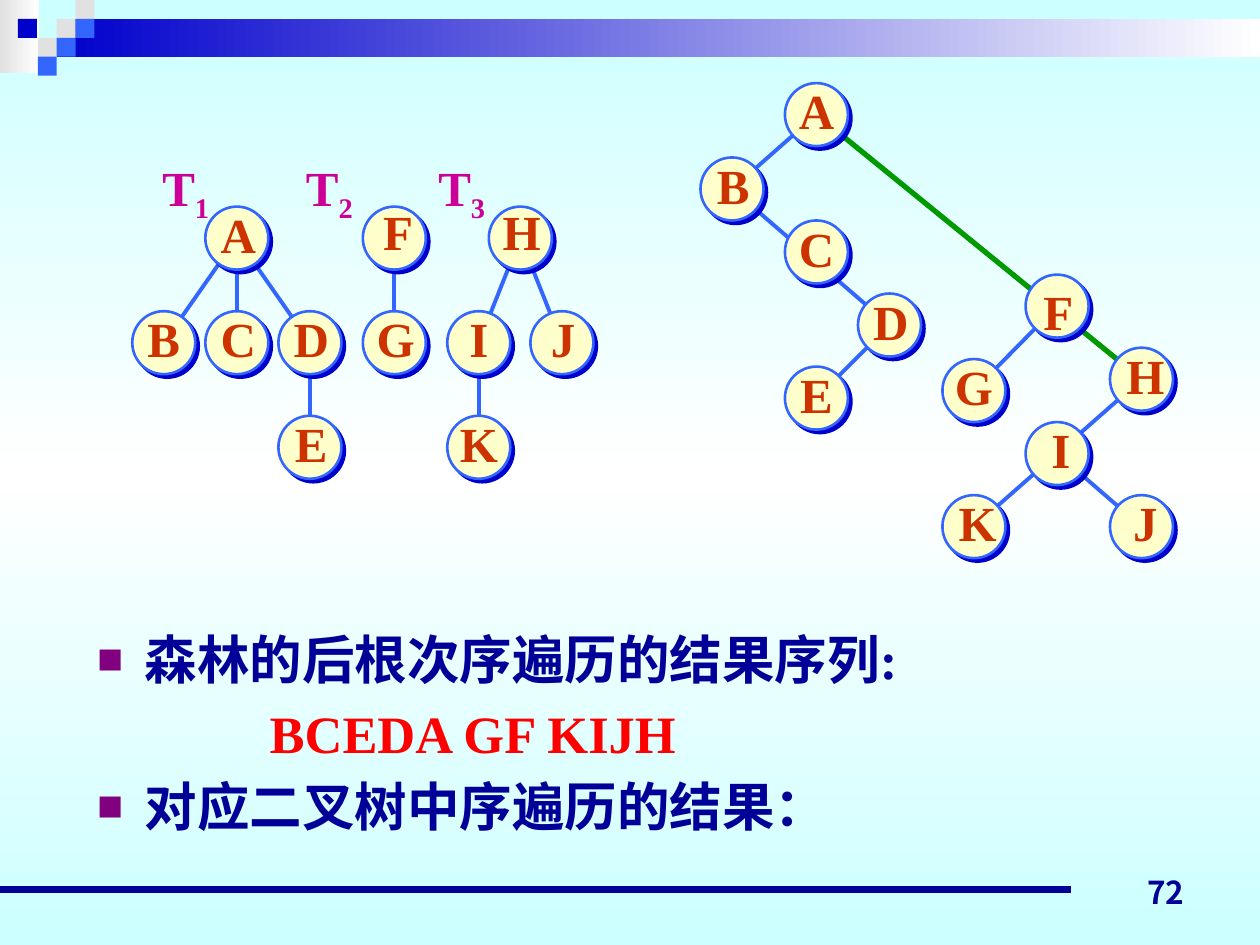
from copy import deepcopy
from math import hypot

from lxml import etree
from pptx import Presentation
from pptx.dml.color import RGBColor
from pptx.enum.shapes import MSO_CONNECTOR, MSO_SHAPE
from pptx.enum.text import MSO_ANCHOR, MSO_AUTO_SIZE, PP_ALIGN
from pptx.oxml.ns import qn
from pptx.util import Inches, Pt

RECT, OVAL = MSO_SHAPE.RECTANGLE, MSO_SHAPE.OVAL
STRAIGHT = MSO_CONNECTOR.STRAIGHT
MIDDLE, BOTTOM = MSO_ANCHOR.MIDDLE, MSO_ANCHOR.BOTTOM
CENTER, RIGHT, LEFT = PP_ALIGN.CENTER, PP_ALIGN.RIGHT, PP_ALIGN.LEFT
NO_AUTOFIT = MSO_AUTO_SIZE.NONE

NAVY = RGBColor(0x00, 0x00, 0x99)
BLUE = RGBColor(0x00, 0x00, 0xCC)
SKY = RGBColor(0x33, 0x66, 0xFF)
CYAN = RGBColor(0xCC, 0xFF, 0xFF)
WHITE = RGBColor(0xFF, 0xFF, 0xFF)
GREY = RGBColor(0xE1, 0xE1, 0xE1)
CREAM = RGBColor(0xFF, 0xFF, 0xCC)
RUST = RGBColor(0xCC, 0x33, 0x00)
GREEN = RGBColor(0x00, 0x99, 0x00)
MAGENTA = RGBColor(0xCC, 0x00, 0x99)
PURPLE = RGBColor(0x80, 0x00, 0x80)
RED = RGBColor(0xFF, 0x00, 0x00)

SERIF, SANS = "Times New Roman", "Noto Sans CJK JP"
NODE = 0.5    # node diameter
TRIM = 0.16   # how far an edge starts from a node's centre
LABEL_HEIGHT = 0.57
LABEL_WIDTHS = {"A": 0.48, "B": 0.46, "C": 0.48, "D": 0.48, "E": 0.46, "F": 0.44,
                "G": 0.5, "H": 0.5, "I": 0.35, "J": 0.4, "K": 0.5}

# Letter: (left, top, label shift right, label shift down), within the tree's box
FOREST_NODES = {
    "A": (0.58, 0, 0.01, 0), "F": (1.83, 0, 0.03, -0.02), "H": (2.83, 0, 0.01, -0.02),
    "B": (0, 0.83, 0, 0), "C": (0.58, 0.83, 0.01, 0), "D": (1.16, 0.83, 0.01, 0),
    "G": (1.83, 0.83, 0.01, 0), "I": (2.5, 0.83, 0, 0), "J": (3.16, 0.83, 0.01, 0),
    "E": (1.16, 1.66, 0.01, 0), "K": (2.5, 1.66, 0, 0),
}
FOREST_EDGES = {SKY: ["AB", "AC", "AD", "DE", "FG", "HI", "HJ", "IK"]}

BINARY_NODES = {
    "A": (0.67, 0, 0, 0), "B": (0, 0.59, 0.01, 0), "C": (0.67, 1.09, 0, 0),
    "D": (1.25, 1.67, 0.01, 0), "E": (0.67, 2.25, 0, 0),
    "F": (2.58, 1.52, 0.01, 0.07), "G": (1.92, 2.19, 0, 0),
    "H": (3.25, 2.1, 0.03, 0), "I": (2.58, 2.69, 0.03, 0),
    "K": (1.92, 3.27, 0.03, 0), "J": (3.25, 3.27, 0.03, 0),
}
# Straight chains run as one line behind their middle node
BINARY_EDGES = {GREEN: ["AH"], SKY: ["AB", "BD", "DE", "FG", "HK", "IJ"]}


def add_element(parent, tag, **attributes):
    child = etree.SubElement(parent, qn(tag))
    for key, value in attributes.items():
        child.set(key, str(value))
    return child


def set_gradient(fill, owner, colors, angle):
    fill.gradient()
    fill.gradient_angle = angle
    stops = owner.find(".//" + qn("a:gsLst"))
    while len(stops) < len(colors):
        stops.append(deepcopy(stops[0]))
    for index, (stop, color) in enumerate(zip(fill.gradient_stops, colors)):
        stop.position = index / (len(colors) - 1)
        stop.color.rgb = color


def add_run(paragraph, text, **formats):
    run = paragraph.add_run()
    run.text = text
    color = formats.pop("color")
    for key, value in {"name": SERIF, "bold": True, **formats}.items():
        setattr(run.font, key, value)
    run.font.color.rgb = color
    add_element(run.font._element, "a:ea", typeface=SANS)
    return run


def add_text_box(slide, left, top, width, height, anchor, align, wrap):
    frame = slide.shapes.add_textbox(*map(Inches, (left, top, width, height))).text_frame
    frame.word_wrap = wrap
    frame.vertical_anchor = anchor
    frame.paragraphs[0].alignment = align
    return frame.paragraphs[0]


def add_shape(slide, kind, left, top, width, height, fill):
    shape = slide.shapes.add_shape(kind, *map(Inches, (left, top, width, height)))
    shape.shadow.inherit = False
    if isinstance(fill, list):
        set_gradient(shape.fill, shape._element, fill, 0)
    else:
        shape.fill.solid()
        shape.fill.fore_color.rgb = fill
    shape.line.fill.background()
    return shape


def add_line(slide, start, end, color, width):
    line = slide.shapes.add_connector(STRAIGHT, *map(Inches, (*start, *end)))
    line.line.color.rgb = color
    line.line.width = Pt(width)
    add_element(line._element.spPr, "a:effectLst")


def draw_header(slide, left, top, width):
    add_shape(slide, RECT, left, top, 0.31, 0.58, [GREY, WHITE])
    add_shape(slide, RECT, left + 0.45, top + 0.15, width - 0.45, 0.3, [BLUE, WHITE])
    # Checkered squares: column and row, in square sides
    side = 0.15
    for column, row, color in [(3, 1, GREY), (4, 0, GREY), (4, 1, SKY), (2, 2, GREY),
                               (0.95, 1, BLUE), (3, 2, SKY), (2, 3, SKY)]:
        add_shape(slide, RECT, left + column * side, top + row * side, side, side, color)


def draw_footer(slide, left, top):
    add_line(slide, (left, top), (left + 8.5, top), NAVY, 4.5)
    number = add_text_box(slide, left + 7.17, top - 0.28, 2.33, 0.5, BOTTOM, RIGHT, True)
    add_run(number, "72", name=SANS, size=Pt(18), color=NAVY)


def draw_tree(slide, left, top, nodes, edges):
    centers = {letter: (left + x + NODE / 2, top + y + NODE / 2)
               for letter, (x, y, _, _) in nodes.items()}
    # Edges
    for color, pairs in edges.items():
        for parent, child in pairs:
            (x1, y1), (x2, y2) = centers[parent], centers[child]
            share = TRIM / hypot(x2 - x1, y2 - y1)
            dx, dy = (x2 - x1) * share, (y2 - y1) * share
            add_line(slide, (x1 + dx, y1 + dy), (x2 - dx, y2 - dy), color,
                     3 if color == GREEN else 2.25)
    # Nodes with a hard shadow
    for x, y, _, _ in nodes.values():
        node = add_shape(slide, OVAL, left + x, top + y, NODE, NODE, CREAM)
        node.line.color.rgb = SKY
        node.line.width = Pt(1.5)
        shadow = add_element(node._element.spPr.find(qn("a:effectLst")), "a:outerShdw",
                             dist=Pt(2.8), dir=45 * 60000, algn="ctr", rotWithShape=0)
        add_element(shadow, "a:srgbClr", val=BLUE)
    # Letters
    for letter, (_, _, dx, dy) in nodes.items():
        x, y = centers[letter]
        width = LABEL_WIDTHS[letter]
        label = add_text_box(slide, x - width / 2 + dx, y - 0.32 + dy, width,
                             LABEL_HEIGHT, MIDDLE, CENTER, False)
        add_run(label, letter, size=Pt(28), color=RUST)


def draw_tree_names(slide, left, top):
    names = add_text_box(slide, left, top, 2.83, LABEL_HEIGHT, MIDDLE, LEFT, True)
    tabs = add_element(names._p.get_or_add_pPr(), "a:tabLst")
    for position in (1.14, 2.19):
        add_element(tabs, "a:tab", pos=Inches(position), algn="l")
    for lead, digit in [("T", "1"), ("\tT", "2"), ("\tT", "3")]:
        add_run(names, lead, size=Pt(28), color=MAGENTA)
        subscript = add_run(names, digit, size=Pt(28), color=MAGENTA)
        subscript.font._element.set("baseline", "-25000")


def fill_body(body, left, top, width, height):
    body.left, body.top, body.width, body.height = map(Inches, (left, top, width, height))
    frame = body.text_frame
    frame.auto_size = NO_AUTOFIT
    lines = [("森林的后根次序遍历的结果序列:", NAVY, True),
             ("BCEDA GF KIJH", RED, False),
             ("对应二叉树中序遍历的结果：", NAVY, True)]
    for index, (text, color, bulleted) in enumerate(lines):
        paragraph = frame.add_paragraph() if index else frame.paragraphs[0]
        properties = paragraph._p.get_or_add_pPr()
        properties.set("marL", str(Inches(0.38 if bulleted else 1.37)))
        properties.set("indent", str(Inches(-0.38 if bulleted else 0)))
        if bulleted:
            add_element(add_element(properties, "a:buClr"), "a:srgbClr", val=PURPLE)
            add_element(properties, "a:buSzPct", val=50000)
            add_element(properties, "a:buFont", typeface=SANS)
            add_element(properties, "a:buChar", char="■")
        else:
            add_element(properties, "a:buNone")
        paragraph.space_before = Pt(6 if index else 0)
        add_run(paragraph, text, size=Pt(30), color=color)


def main():
    prs = Presentation()
    prs.slide_width, prs.slide_height = Inches(10), Inches(7.5)
    slide = prs.slides.add_slide(prs.slide_layouts[1])
    title, body = slide.placeholders
    title._element.getparent().remove(title._element)

    set_gradient(slide.background.fill, slide._element, [CYAN, WHITE, CYAN], 90)
    draw_header(slide, 0, 0, 10)
    draw_footer(slide, 0, 7.06)
    draw_tree(slide, 5.56, 0.66, BINARY_NODES, BINARY_EDGES)
    fill_body(body, 0.67, 4.93, 9, 2.05)
    draw_tree(slide, 1.05, 1.64, FOREST_NODES, FOREST_EDGES)
    draw_tree_names(slide, 1.19, 1.23)
    prs.save("out.pptx")


if __name__ == "__main__":
    main()
